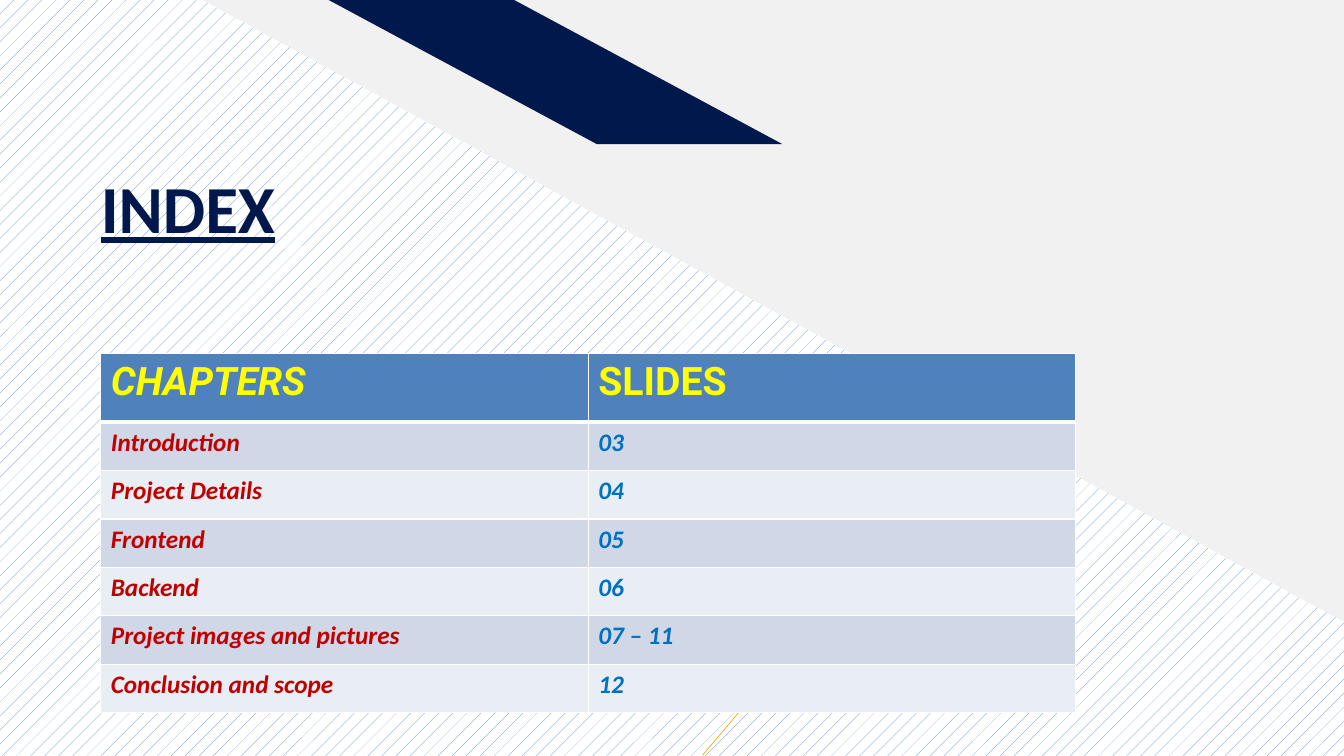
from lxml.etree import SubElement
from pptx import Presentation
from pptx.dml.color import RGBColor
from pptx.enum.dml import MSO_PATTERN
from pptx.enum.shapes import MSO_CONNECTOR
from pptx.enum.text import MSO_ANCHOR, MSO_AUTO_SIZE, PP_ALIGN
from pptx.oxml.ns import qn
from pptx.util import Inches, Pt

COLORS = {
    "white": "FFFFFF", "blue": "4F81BD", "grey": "F1F1F1", "navy": "00184B",
    "gold": "EAB100", "yellow": "FFFF00", "red": "C00000", "link_blue": "0070C0",
    "band_dark": "D0D8E8", "band_light": "E9EDF4",
}
HEADINGS = ("CHAPTERS", "SLIDES")
CHAPTERS = [
    ("Introduction", "03"),
    ("Project Details", "04"),
    ("Frontend", "05"),
    ("Backend", "06"),
    ("Project images and pictures", "07 – 11"),
    ("Conclusion and scope", "12"),
]


def color(name):
    return RGBColor.from_string(COLORS[name])


def add_run(paragraph, text, font_name, size, color_name, italic=False, underline=False):
    run = paragraph.add_run()
    run.text = text
    font = run.font
    font.name, font.size, font.bold = font_name, Pt(size), True
    font.italic, font.underline = italic, underline
    font.color.rgb = color(color_name)


def add_polygon(slide, points, color_name):
    corners = [(Inches(x), Inches(y)) for x, y in points]
    builder = slide.shapes.build_freeform(*corners[0])
    builder.add_line_segments(corners[1:], close=True)
    shape = builder.convert_to_shape()
    shape.shadow.inherit = False
    shape.fill.solid()
    shape.fill.fore_color.rgb = color(color_name)
    shape.line.fill.background()


def add_backdrop(slide, width, height):
    fill = slide.background.fill
    fill.patterned()
    fill.pattern = MSO_PATTERN.PERCENT_5
    fill.fore_color.rgb = color("blue")
    fill.back_color.rgb = color("white")

    add_polygon(slide, [(width, 0), (2.01, 0), (width, 6.17)], "grey")
    add_polygon(slide, [(5.1, 0), (3.26, 0), (5.92, 1.43), (7.76, 1.43)], "navy")
    accent = slide.shapes.add_connector(
        MSO_CONNECTOR.STRAIGHT,
        Inches(6.97), Inches(height - 0.01), Inches(8.64), Inches(5.52))
    accent.line.color.rgb = color("gold")
    accent.line.width = Pt(0.5)
    SubElement(accent.element.spPr, qn("a:effectLst"))


def set_title(slide, left, top, width, height):
    title = slide.shapes.title
    title.left, title.top = Inches(left), Inches(top)
    title.width, title.height = Inches(width), Inches(height)
    frame = title.text_frame
    frame.margin_left = frame.margin_top = frame.margin_right = frame.margin_bottom = 0
    frame.vertical_anchor = MSO_ANCHOR.TOP
    frame.auto_size = MSO_AUTO_SIZE.NONE
    paragraph = frame.paragraphs[0]
    paragraph.alignment = PP_ALIGN.LEFT
    add_run(paragraph, "INDEX", "Calibri", 48, "navy", underline=True)
    # The title belongs in front of the backdrop
    slide.shapes.element.append(title.element)


def set_borders(cell, top, bottom):
    """Give the cell white borders; top and bottom are widths in points."""
    properties = cell._tc.get_or_add_tcPr()
    widths = {"a:lnL": 1, "a:lnR": 1, "a:lnT": top, "a:lnB": bottom}
    for index, (tag, width) in enumerate(widths.items()):
        border = SubElement(properties, qn(tag), w=str(Pt(width)))
        fill = SubElement(border, qn("a:solidFill"))
        SubElement(fill, qn("a:srgbClr"), val=COLORS["white"])
        properties.insert(index, border)


def add_index_table(slide, left, top, width, header_height, row_height):
    rows = [HEADINGS, *CHAPTERS]
    height = header_height + row_height * len(CHAPTERS)
    table = slide.shapes.add_table(
        len(rows), len(HEADINGS),
        Inches(left), Inches(top), Inches(width), Inches(height)).table
    for row_index, texts in enumerate(rows):
        is_header = row_index == 0
        table.rows[row_index].height = Inches(header_height if is_header else row_height)
        band = "blue" if is_header else "band_dark" if row_index % 2 else "band_light"
        for column_index, text in enumerate(texts):
            cell = table.cell(row_index, column_index)
            cell.fill.solid()
            cell.fill.fore_color.rgb = color(band)
            set_borders(cell, 3 if row_index == 1 else 1, 3 if is_header else 1)
            paragraph = cell.text_frame.paragraphs[0]
            if is_header:
                add_run(paragraph, text, "Roboto", 28, "yellow", italic=column_index == 0)
            else:
                text_color = ("red", "link_blue")[column_index]
                add_run(paragraph, text, "Calibri", 18, text_color, italic=True)


def main():
    width, height = 13.33, 7.5
    presentation = Presentation()
    presentation.slide_width = Inches(width)
    presentation.slide_height = Inches(height)
    slide = presentation.slides.add_slide(presentation.slide_layouts.get_by_name("Title Only"))
    add_backdrop(slide, width, height)
    set_title(slide, 1, 1.65, 11.33, 1.35)
    add_index_table(slide, 1, 3.51, 9.67, 0.68, 0.48)
    presentation.save("out.pptx")


if __name__ == "__main__":
    main()
